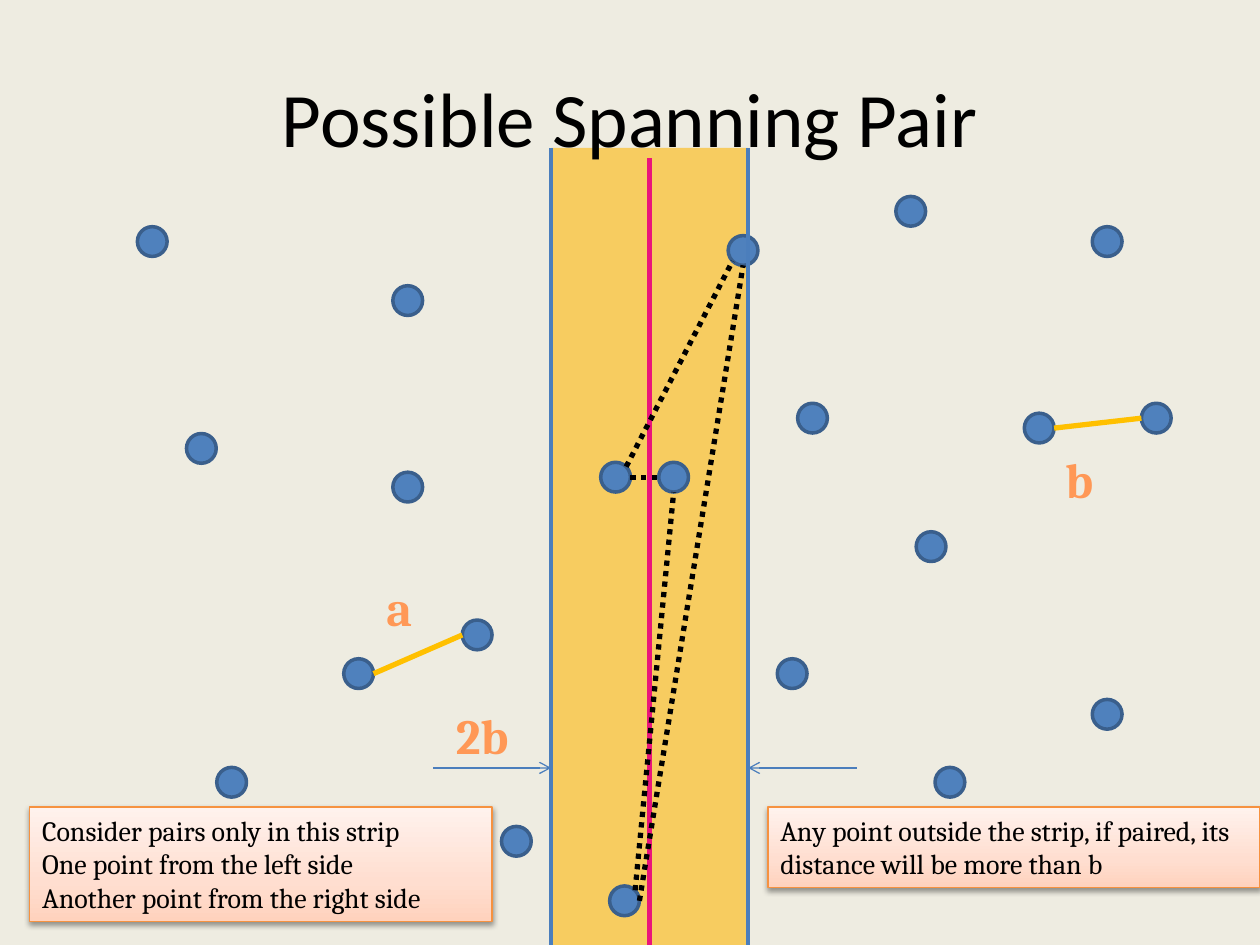
import pptx
import pptx.util
import pptx.dml.color
import pptx.enum.dml
import pptx.enum.shapes
import pptx.enum.text
import pptx.oxml
import pptx.oxml.ns

Cm = pptx.util.Cm
Pt = pptx.util.Pt
ENUM = pptx.enum

THEME = {
    "background": "EEECE1", "ink": "000000", "strip": "FEB80A",
    "dot": "4F81BD", "dot_edge": "3A5F8C", "border": "4B7EBC",
    "divider": "EA157A", "pair": "FFC000", "note_edge": "F69240",
    "label": ([(0, "9D4700"), (78, "FF9856"), (100, "FFF5F1")], 90),
    "note": ([(0, "FFD2BD"), (35, "FFDED0"), (100, "FFF2ED")], 270),
    "title_font": "Calibri", "body_font": "Cambria",
    "title_size": 44, "label_size": 28, "note_size": 16,
}

TITLE = ("Possible Spanning Pair", (1.27, 0.76, 22.86, 3.18))
SLIDE_SIZE = (25.4, 19.05)
STRIP_LEFT, STRIP_RIGHT, STRIP_TOP = 11.11, 15.08, 2.98
DIVIDER_X, DIVIDER_TOP = 13.1, 3.18
ARROW_Y = 15.48
DOT = 0.6

PAIRED_POINTS = {
    "a left": (7.23, 13.58), "a right": (9.62, 12.8),
    "b left": (20.95, 8.63), "b right": (23.31, 8.43),
    "strip left": (12.41, 9.62), "strip right": (13.58, 9.62),
    "strip top": (14.98, 5.05), "strip bottom": (12.59, 18.16),
}
OTHER_POINTS = [
    (8.22, 6.06), (4.06, 9.04), (4.67, 15.77), (10.41, 16.96),
    (18.36, 4.26), (18.77, 11.02), (22.32, 14.4), (15.97, 13.58),
    (19.15, 15.77), (16.38, 8.43), (22.32, 4.87), (8.22, 9.82), (3.07, 4.87),
]
SIDES = {
    "left": (-1, 0), "right": (1, 0), "bottom": (0, 1),
    "top right": (0.71, -0.71), "bottom left": (-0.71, 0.71),
}
CLOSEST_PAIRS = [
    ("a left", "right", "a right", "left"),
    ("b left", "right", "b right", "left"),
]
SPANNING_PAIRS = [
    ("strip left", "right", "strip right", "left"),
    ("strip left", "top right", "strip top", "bottom left"),
    ("strip bottom", "top right", "strip right", "bottom"),
    ("strip bottom", "right", "strip top", "bottom"),
]
LABELS = [("a", 7.54, 11.51), ("b", 21.23, 8.94), ("2b", 8.94, 14.1)]
NOTES = [
    (["Consider pairs only in this strip", "One point from the left side",
      "Another point from the right side"], (0.6, 16.27, 9.32, 2.31)),
    (["Any point outside the strip, if paired, its distance will be more than b"],
     (15.48, 16.27, 9.92, 1.63)),
]


def rgb(name):
    return pptx.dml.color.RGBColor.from_string(THEME[name])


def xml(text):
    namespace = pptx.oxml.ns.nsdecls("a")
    return pptx.oxml.parse_xml(text.replace(">", f" {namespace}>", 1))


def gradient(name):
    stops, angle = THEME[name]
    colours = "".join(
        f'<a:gs pos="{place * 1000}"><a:srgbClr val="{colour}"/></a:gs>'
        for place, colour in stops)
    return xml(f'<a:gradFill rotWithShape="1"><a:gsLst>{colours}</a:gsLst>'
               f'<a:lin ang="{angle * 60000}" scaled="0"/></a:gradFill>')


def write(frame, lines, *, size, font="body_font", colour="ink", bold=False,
          align=ENUM.text.PP_ALIGN.LEFT, anchor=ENUM.text.MSO_ANCHOR.TOP, grow=True):
    frame.word_wrap = True
    frame.vertical_anchor = anchor
    if grow:
        frame.auto_size = ENUM.text.MSO_AUTO_SIZE.SHAPE_TO_FIT_TEXT
    for index, line in enumerate(lines):
        paragraph = frame.paragraphs[0] if index == 0 else frame.add_paragraph()
        paragraph.alignment = align
        run = paragraph.add_run()
        run.text = line
        run.font.name = THEME[font]
        run.font.size = Pt(THEME[size])
        run.font.bold = bold
        if isinstance(THEME[colour], tuple):
            run.font._element.insert(0, gradient(colour))
        else:
            run.font.color.rgb = rgb(colour)


def add_block(slide, kind, box, fill=None, edge=None, width=0):
    block = slide.shapes.add_shape(kind, *map(Cm, box))
    block.shadow.inherit = False
    if fill:
        block.fill.solid()
        block.fill.fore_color.rgb = rgb(fill)
    if edge:
        block.line.color.rgb = rgb(edge)
        block.line.width = Pt(width)
    else:
        block.line.fill.background()
    return block


def add_line(slide, start, end, colour, width, dotted=False, arrow=False):
    line = slide.shapes.add_connector(
        ENUM.shapes.MSO_CONNECTOR.STRAIGHT, *map(Cm, start + end))
    line.line.color.rgb = rgb(colour)
    line.line.width = Pt(width)
    if dotted:
        line.line.dash_style = ENUM.dml.MSO_LINE.ROUND_DOT
    if arrow:
        line.line._get_or_add_ln().append(xml('<a:tailEnd type="arrow"></a:tailEnd>'))
    line._element.spPr.append(xml("<a:effectLst></a:effectLst>"))


def add_dot(slide, centre):
    x, y = centre
    add_block(slide, ENUM.shapes.MSO_SHAPE.OVAL,
              (x - DOT / 2, y - DOT / 2, DOT, DOT), "dot", "dot_edge", 2)


def rim(point, side):
    return tuple(c + step * DOT / 2 for c, step in zip(PAIRED_POINTS[point], SIDES[side]))


def join(slide, pairs, **style):
    for first, first_side, second, second_side in pairs:
        add_line(slide, rim(first, first_side), rim(second, second_side), width=3, **style)


def add_note(slide, lines, box):
    note = add_block(slide, ENUM.shapes.MSO_SHAPE.RECTANGLE, box, edge="note_edge", width=0.75)
    properties = note._element.spPr
    properties.insert(2, gradient("note"))
    properties.find(pptx.oxml.ns.qn("a:effectLst")).append(xml(
        '<a:outerShdw blurRad="40000" dist="20000" dir="5400000" rotWithShape="0">'
        '<a:srgbClr val="000000"><a:alpha val="38000"/></a:srgbClr></a:outerShdw>'))
    write(note.text_frame, lines, size="note_size")


def main():
    deck = pptx.Presentation()
    deck.slide_width, deck.slide_height = map(Cm, SLIDE_SIZE)
    slide = deck.slides.add_slide(deck.slide_layouts[5])
    slide.background.fill.solid()
    slide.background.fill.fore_color.rgb = rgb("background")
    bottom = SLIDE_SIZE[1]

    strip = add_block(slide, ENUM.shapes.MSO_SHAPE.RECTANGLE,
                      (STRIP_LEFT, STRIP_TOP, STRIP_RIGHT - STRIP_LEFT, bottom - STRIP_TOP),
                      "strip")
    strip_colour = strip._element.spPr.find(".//" + pptx.oxml.ns.qn("a:srgbClr"))
    strip_colour.append(xml('<a:alpha val="60000"></a:alpha>'))
    slide.shapes._spTree.insert(2, strip._element)

    heading, box = TITLE
    title = slide.shapes.title
    title.left, title.top, title.width, title.height = map(Cm, box)
    write(title.text_frame, [heading], size="title_size", font="title_font", grow=False,
          align=ENUM.text.PP_ALIGN.CENTER, anchor=ENUM.text.MSO_ANCHOR.MIDDLE)

    for centre in [*PAIRED_POINTS.values(), *OTHER_POINTS]:
        add_dot(slide, centre)
    add_line(slide, (DIVIDER_X, bottom), (DIVIDER_X, DIVIDER_TOP), "divider", 3)
    join(slide, CLOSEST_PAIRS, colour="pair")
    for x, outside in ((STRIP_RIGHT, 17.27), (STRIP_LEFT, 8.73)):
        add_line(slide, (x, bottom), (x, STRIP_TOP), "border", 2.25)
        add_line(slide, (outside, ARROW_Y), (x, ARROW_Y), "border", 0.75, arrow=True)
    for text, x, y in LABELS:
        label = slide.shapes.add_textbox(*map(Cm, (x, y, 1.98, 1.45)))
        write(label.text_frame, [text], size="label_size", colour="label", bold=True)
    join(slide, SPANNING_PAIRS, colour="ink", dotted=True)
    for lines, box in NOTES:
        add_note(slide, lines, box)
    deck.save("out.pptx")


if __name__ == "__main__":
    main()
